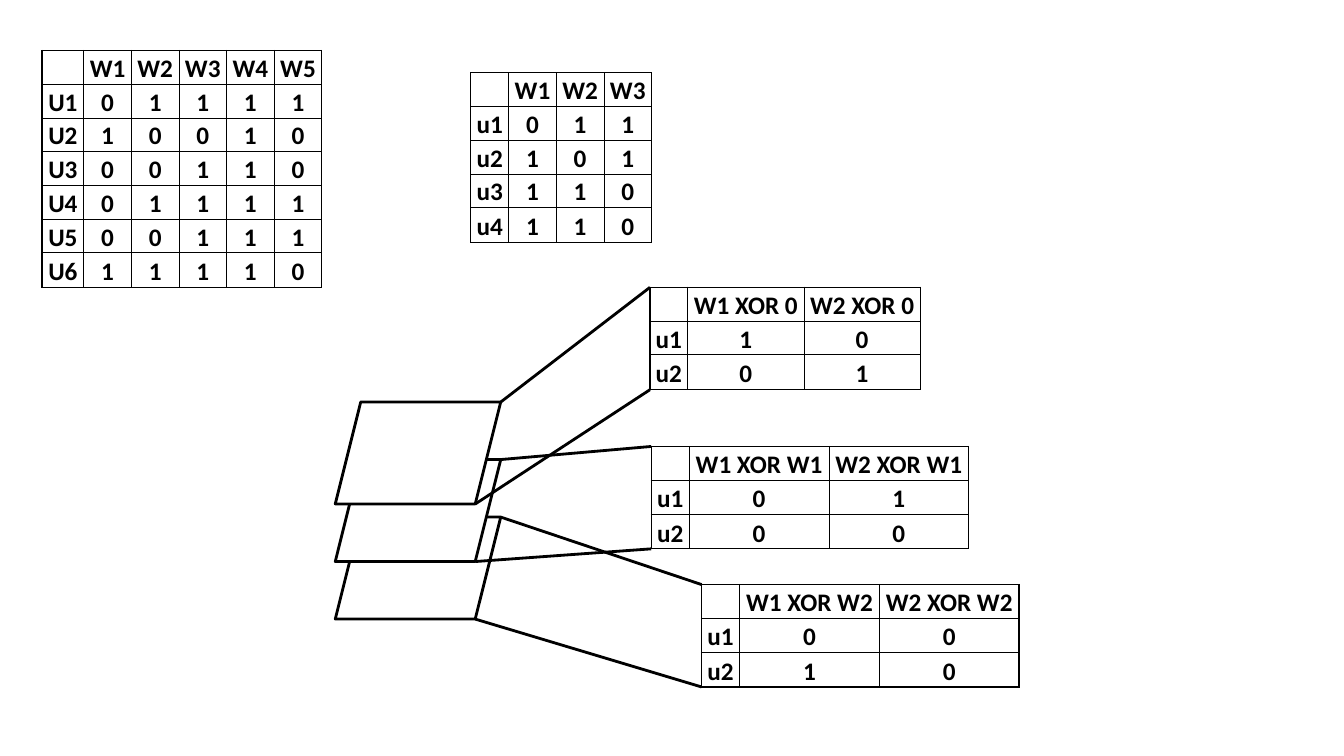
import dataclasses
import pptx
import pptx.dml.color
import pptx.enum.shapes
import pptx.enum.text
import pptx.oxml
import pptx.oxml.ns
import pptx.util

Cm = pptx.util.Cm
Pt = pptx.util.Pt


@dataclasses.dataclass(frozen=True)
class Theme:
    """Colours, type and line weights of the slide."""
    ink: str = "000000"
    paper: str = "FFFFFF"
    font: str = "Calibri"
    size: float = 18
    thin: float = 0.5
    edge: float = 1
    bold: float = 2


@dataclasses.dataclass(frozen=True)
class Box:
    """A frame in centimetres."""
    left: float
    top: float
    width: float
    height: float

    @property
    def right(self):
        """Return the right edge."""
        return self.left + self.width

    @property
    def base(self):
        """Return the bottom edge."""
        return self.top + self.height


THEME = Theme()
ROW, LAST = 0.85, 0.88
SLANT = 0.25
USERS = [
    ["", "W1", "W2", "W3", "W4", "W5"],
    ["U1", "0", "1", "1", "1", "1"],
    ["U2", "1", "0", "0", "1", "0"],
    ["U3", "0", "0", "1", "1", "0"],
    ["U4", "0", "1", "1", "1", "1"],
    ["U5", "0", "0", "1", "1", "1"],
    ["U6", "1", "1", "1", "1", "0"],
]
PAIRS = [
    ["", "W1", "W2", "W3"],
    ["u1", "0", "1", "1"],
    ["u2", "1", "0", "1"],
    ["u3", "1", "1", "0"],
    ["u4", "1", "1", "0"],
]
LAYERS = [
    ("0", 16.38, 7.24, 0.95, 2.93, "10", "01"),
    ("W1", 16.41, 11.25, 0.96, 3.52, "01", "00"),
    ("W2", 17.68, 14.73, 0.96, 3.52, "00", "10"),
]


def tint(text):
    """Turn a hex string into a colour."""
    return pptx.dml.color.RGBColor.from_string(text)


def border(cell, sides):
    """Rule the four sides of a cell with the given weights."""
    space = pptx.oxml.ns.nsdecls("a")
    props = cell._tc.get_or_add_tcPr()
    for side, weight in sides.items():
        props.append(pptx.oxml.parse_xml(
            f'<a:ln{side} {space} w="{Pt(weight)}"><a:solidFill>'
            f'<a:srgbClr val="{THEME.ink}"/></a:solidFill></a:ln{side}>'))


def write(cell, text):
    """Set the text of a cell, centred and resting on its base."""
    cell.margin_left = cell.margin_right = cell.margin_top = Cm(0.03)
    cell.margin_bottom = 0
    cell.vertical_anchor = pptx.enum.text.MSO_ANCHOR.BOTTOM
    line = cell.text_frame.paragraphs[0]
    line.alignment = pptx.enum.text.PP_ALIGN.CENTER
    if text:
        run = line.add_run()
        run.text = text
        run.font.name = THEME.font
        run.font.size = Pt(THEME.size)
        run.font.bold = True
        run.font.color.rgb = tint(THEME.ink)


def frame(left, top, head, col, rows):
    """Work out the box that a grid fills."""
    return Box(left, top, head + col * (len(rows[0]) - 1),
               ROW * (len(rows) - 1) + LAST)


def grid(slide, box, head, rows):
    """Draw a matrix with a label column of the given width."""
    high, wide = len(rows), len(rows[0])
    table = slide.shapes.add_table(
        high, wide, Cm(box.left), Cm(box.top),
        Cm(box.width), Cm(box.height)).table
    table.first_row = table.horz_banding = False
    for c, column in enumerate(table.columns):
        column.width = Cm((box.width - head) / (wide - 1) if c else head)
    for r, row in enumerate(table.rows):
        row.height = Cm(LAST if r == high - 1 else ROW)
        for c, text in enumerate(rows[r]):
            cell = table.cell(r, c)
            outer = {"L": c == 0, "R": c == wide - 1,
                     "T": r == 0, "B": r == high - 1}
            border(cell, {side: THEME.edge if rim else THEME.thin
                          for side, rim in outer.items()})
            cell.fill.background()
            write(cell, text)


def sheet(slide, box):
    """Draw one slanted sheet of the stack."""
    shape = slide.shapes.add_shape(
        pptx.enum.shapes.MSO_SHAPE.PARALLELOGRAM, Cm(box.left), Cm(box.top),
        Cm(box.width), Cm(box.height))
    shape.adjustments[0] = SLANT
    shape.shadow.inherit = False
    shape.fill.solid()
    shape.fill.fore_color.rgb = tint(THEME.paper)
    shape.line.color.rgb = tint(THEME.ink)
    shape.line.width = Pt(THEME.bold)


def link(slide, start, end):
    """Draw a straight line between two points."""
    line = slide.shapes.add_connector(
        pptx.enum.shapes.MSO_CONNECTOR.STRAIGHT, *map(Cm, start + end))
    line.line.color.rgb = tint(THEME.ink)
    line.line.width = Pt(THEME.bold)
    line._element.spPr.append(pptx.oxml.parse_xml(
        f'<a:effectLst {pptx.oxml.ns.nsdecls("a")}/>'))


def stack(slide, box, frames):
    """Draw a sheet for each frame, front on top, and join them."""
    step = 1.45
    sheets = [Box(box.left, box.top + step * n, box.width,
                  box.height - step * (len(frames) - 1))
              for n in range(len(frames))]
    for part in reversed(sheets):
        sheet(slide, part)
    for part, goal in zip(sheets, frames):
        link(slide, (goal.left, goal.top), (part.right, part.top))
        link(slide, (goal.left, goal.base),
             (part.right - SLANT * part.height, part.base))


def build():
    """Build the slide and save it."""
    deck = pptx.Presentation()
    deck.slide_width, deck.slide_height = Cm(33.87), Cm(19.05)
    slide = deck.slides.add_slide(deck.slide_layouts[6])
    grid(slide, frame(1.06, 1.27, 1.05, 1.2, USERS), 1.05, USERS)
    grid(slide, frame(11.86, 1.83, 0.96, 1.2, PAIRS), 0.96, PAIRS)
    frames = []
    for key, left, top, head, col, first, second in LAYERS:
        rows = [["", f"W1 XOR {key}", f"W2 XOR {key}"],
                ["u1", *first], ["u2", *second]]
        box = frame(left, top, head, col, rows)
        grid(slide, box, head, rows)
        frames.append(box)
    stack(slide, Box(8.45, 10.13, 4.17, 5.47), frames)
    deck.save("out.pptx")


build()
